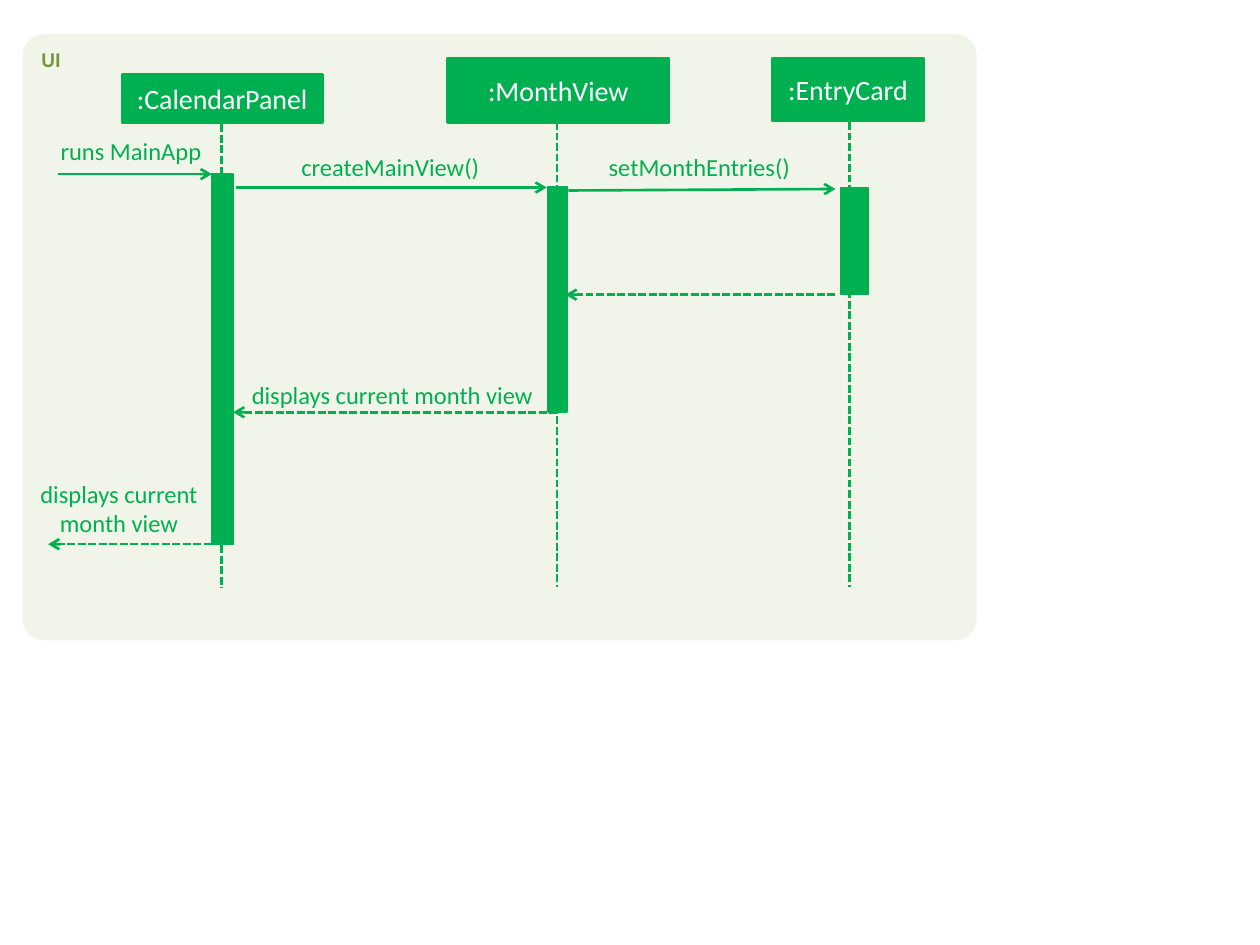
from typing import NamedTuple

from lxml import etree
from pptx import Presentation
from pptx.dml.color import RGBColor
from pptx.enum import dml, shapes, text
from pptx.oxml import ns
from pptx.util import Cm, Pt

HUES = {"panel": "F1F5E9", "title": "77933C", "main": "00B050", "light": "FFFFFF"}
FOOT = 11.84


class Box(NamedTuple):
    x: float
    y: float
    w: float
    h: float


class Actor(NamedTuple):
    name: str
    head: Box
    axis: float
    top: float
    bar: Box


class Call(NamedTuple):
    x1: float
    y1: float
    x2: float
    y2: float
    reply: bool = False


class Label(NamedTuple):
    words: str
    box: Box
    align: text.PP_ALIGN = text.PP_ALIGN.CENTER


ACTORS = [
    Actor(":CalendarPanel", Box(2.46, 1.5, 4.04, 0.97), 4.47, 2.51,
          Box(4.27, 3.51, 0.43, 7.47)),
    Actor(":MonthView", Box(9.02, 1.17, 4.47, 1.3), 11.23, 2.46,
          Box(11.05, 3.76, 0.38, 4.55)),
    Actor(":EntryCard", Box(15.57, 1.17, 3.05, 1.27), 17.12, 2.46,
          Box(16.94, 3.78, 0.56, 2.16)),
]
CALLS = [
    Call(1.17, 3.51, 4.27, 3.51),
    Call(4.75, 3.78, 11.02, 3.78),
    Call(11.46, 3.84, 16.84, 3.81),
    Call(16.84, 5.94, 11.4, 5.94, True),
    Call(11.23, 8.31, 4.7, 8.31, True),
    Call(4.27, 10.97, 0.97, 10.97, True),
]
LABELS = [
    Label("runs MainApp", Box(0.1, 2.74, 3.96, 0.61), text.PP_ALIGN.RIGHT),
    Label("createMainView()", Box(5.23, 3.07, 5.28, 0.61)),
    Label("setMonthEntries()", Box(11.46, 3.07, 5.28, 0.61)),
    Label("displays current month view", Box(4.9, 7.67, 6.02, 0.58)),
    Label("displays current month view", Box(0.15, 9.65, 4.5, 1.19)),
]


def tint(key: str) -> RGBColor:
    return RGBColor.from_string(HUES[key])


def write(frame, words: str, *, size: int, hue: str, bold: bool = False,
          align=text.PP_ALIGN.CENTER, anchor=text.MSO_ANCHOR.TOP) -> None:
    frame.word_wrap = True
    frame.vertical_anchor = anchor
    para = frame.paragraphs[0]
    para.alignment = align
    run = para.add_run()
    run.text = words
    run.font.name = "Calibri"
    run.font.size = Pt(size)
    run.font.bold = bold
    run.font.color.rgb = tint(hue)


def add_box(slide, box: Box, fill: str, line: float = 0,
            kind=shapes.MSO_SHAPE.RECTANGLE):
    shape = slide.shapes.add_shape(kind, *map(Cm, box))
    shape.shadow.inherit = False
    shape.fill.solid()
    shape.fill.fore_color.rgb = tint(fill)
    if line:
        shape.line.color.rgb = tint(fill)
        shape.line.width = Pt(line)
    else:
        shape.line.fill.background()
    return shape


def add_line(slide, call: Call, arrow: bool = True) -> None:
    link = slide.shapes.add_connector(
        shapes.MSO_CONNECTOR.STRAIGHT, *map(Cm, call[:4]))
    link.line.color.rgb = tint("main")
    link.line.width = Pt(1.5)
    if call.reply:
        link.line.dash_style = dml.MSO_LINE.SQUARE_DOT
    props = link._element.spPr
    if arrow:
        etree.SubElement(props.find(ns.qn("a:ln")), ns.qn("a:tailEnd"), type="arrow")
    etree.SubElement(props, ns.qn("a:effectLst"))


def add_actor(slide, actor: Actor) -> None:
    add_line(slide, Call(actor.axis, actor.top, actor.axis, FOOT, True), arrow=False)
    add_box(slide, actor.bar, "main", 0.75)
    head = add_box(slide, actor.head, "main", 1.5)
    write(head.text_frame, actor.name, size=16, hue="light",
          anchor=text.MSO_ANCHOR.MIDDLE)


def add_label(slide, label: Label) -> None:
    frame = slide.shapes.add_textbox(*map(Cm, label.box)).text_frame
    frame.margin_left = frame.margin_right = 0
    frame.margin_top = frame.margin_bottom = 0
    frame.auto_size = text.MSO_AUTO_SIZE.SHAPE_TO_FIT_TEXT
    write(frame, label.words, size=14, hue="main", align=label.align)


def main() -> None:
    deck = Presentation()
    deck.slide_width, deck.slide_height = Cm(25.4), Cm(19.05)
    slide = deck.slides.add_slide(deck.slide_layouts[6])
    panel = add_box(slide, Box(0.46, 0.69, 19.23, 12.22), "panel",
                    kind=shapes.MSO_SHAPE.ROUNDED_RECTANGLE)
    panel.adjustments[0] = 0.035
    write(panel.text_frame, "UI", size=12, hue="title", bold=True,
          align=text.PP_ALIGN.LEFT)
    for actor in ACTORS:
        add_actor(slide, actor)
    for call in CALLS:
        add_line(slide, call)
    for label in LABELS:
        add_label(slide, label)
    deck.save("out.pptx")


if __name__ == "__main__":
    main()
